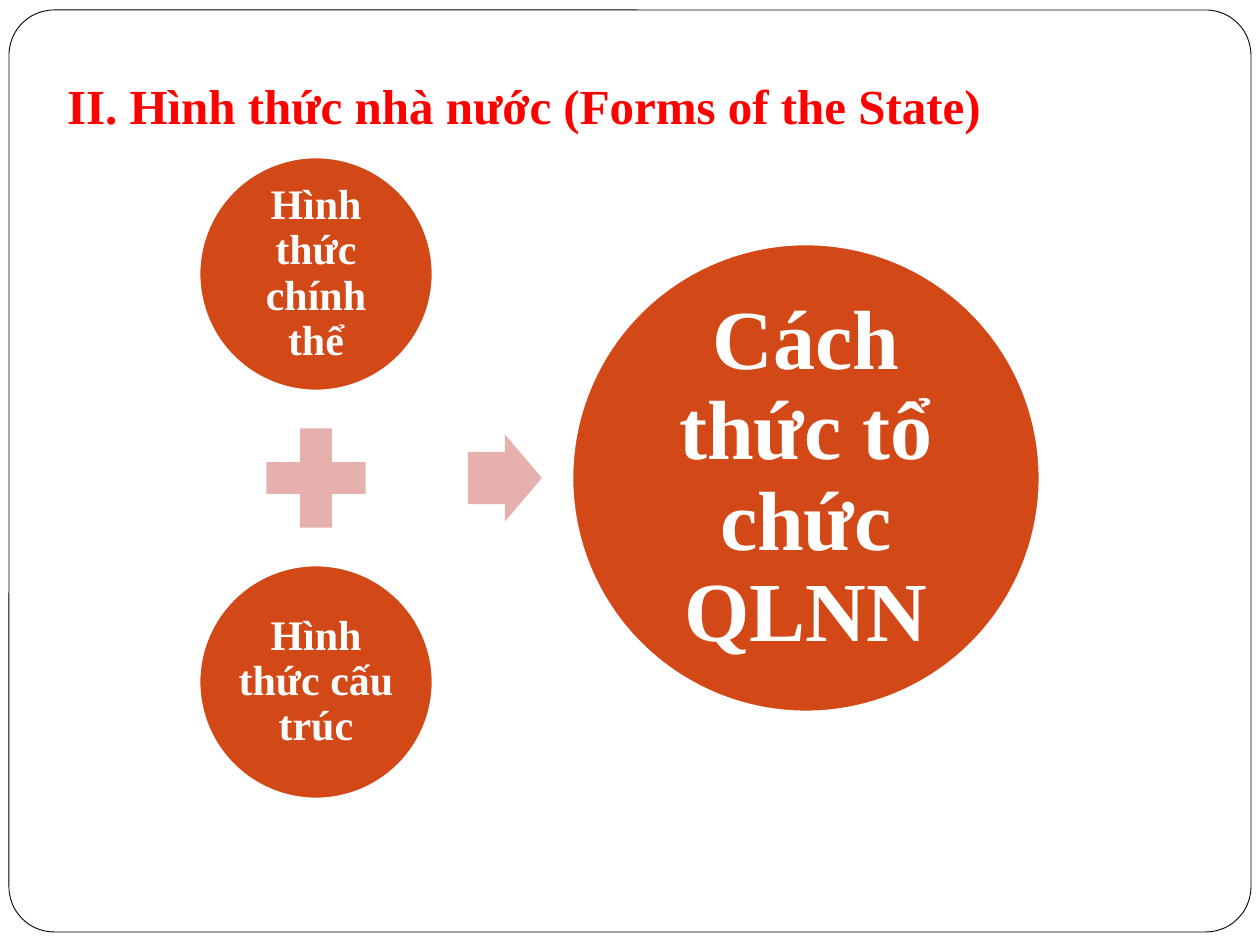
import pptx
import pptx.dml.color
import pptx.enum.shapes
import pptx.enum.text
import pptx.util

SHAPE = pptx.enum.shapes.MSO_SHAPE
ALIGN = pptx.enum.text.PP_ALIGN
ANCHOR = pptx.enum.text.MSO_ANCHOR
EMU_PER_PX = 914400 / 126


def px(length):
    return pptx.util.Emu(round(length * EMU_PER_PX))


def colour(value):
    return pptx.dml.color.RGBColor.from_string(value)


class Slide:
    font = "Times New Roman"
    white = "FFFFFF"
    black = "000000"
    red = "FF0000"
    orange = "D34817"
    pink = "E6B1AC"

    def __init__(self, deck):
        self.page = deck.slides.add_slide(deck.slide_layouts[5])

    def shape(self, kind, left, top, width, height, fill, line=None, weight=1):
        box = self.page.shapes.add_shape(kind, px(left), px(top), px(width), px(height))
        box.shadow.inherit = False
        box.fill.solid()
        box.fill.fore_color.rgb = colour(fill)
        if line:
            box.line.color.rgb = colour(line)
            box.line.width = pptx.util.Pt(weight)
        else:
            box.line.fill.background()
        return box

    def label(self, box, text, size, ink, align, anchor, insets):
        frame = box.text_frame
        frame.word_wrap = True
        frame.auto_size = pptx.enum.text.MSO_AUTO_SIZE.NONE
        frame.vertical_anchor = anchor
        (frame.margin_left, frame.margin_top,
         frame.margin_right, frame.margin_bottom) = map(px, insets)
        para = frame.paragraphs[0]
        para.alignment = align
        para.line_spacing = 0.9 if align == ALIGN.CENTER else 1.0
        span = para.add_run()
        span.text = text
        span.font.name = self.font
        span.font.size = pptx.util.Pt(size)
        span.font.bold = True
        span.font.color.rgb = colour(ink)

    def frame(self, left, top, width, height):
        box = self.shape(SHAPE.ROUNDED_RECTANGLE, left, top, width, height,
                         self.white, self.black, 0.5)
        box.adjustments[0] = 0.049
        self.page.shapes.title.element.addprevious(box.element)

    def title(self, text, left, top, width, height):
        box = self.page.shapes.title
        box.left, box.top, box.width, box.height = map(px, (left, top, width, height))
        self.label(box, text, 28, self.red, ALIGN.LEFT, ANCHOR.BOTTOM, (25, 6, 13, 13))

    def circle(self, text, centre_x, centre_y, diameter, size, inset):
        box = self.shape(SHAPE.OVAL, centre_x - diameter / 2, centre_y - diameter / 2,
                         diameter, diameter, self.orange, self.white)
        self.label(box, text, size, self.white, ALIGN.CENTER, ANCHOR.MIDDLE, [inset] * 4)

    def sign(self, kind, centre_x, centre_y, width, height):
        return self.shape(kind, centre_x - width / 2, centre_y - height / 2,
                          width, height, self.pink)


def main():
    deck = pptx.Presentation()
    deck.slide_width, deck.slide_height = px(1260), px(945)
    slide = Slide(deck)
    slide.frame(9, 10, 1242, 922)
    slide.title("II. Hình thức nhà nước (Forms of the State)", 42, 42, 1187, 105)

    parts_x, middle_y, offset = 316, 478, 204
    slide.circle("Hình thức chính thể", parts_x, middle_y - offset, 233, 24, 4)
    slide.sign(SHAPE.MATH_PLUS, parts_x, middle_y, 135, 135)
    slide.circle("Hình thức cấu trúc", parts_x, middle_y + offset, 233, 24, 4)
    arrow = slide.sign(SHAPE.RIGHT_ARROW, 505, middle_y, 74, 87)
    arrow.adjustments[0] = 0.6
    arrow.adjustments[1] = 0.5
    slide.circle("Cách thức tổ chức QLNN", 806, middle_y, 467, 48, 9)
    deck.save("out.pptx")


if __name__ == "__main__":
    main()
